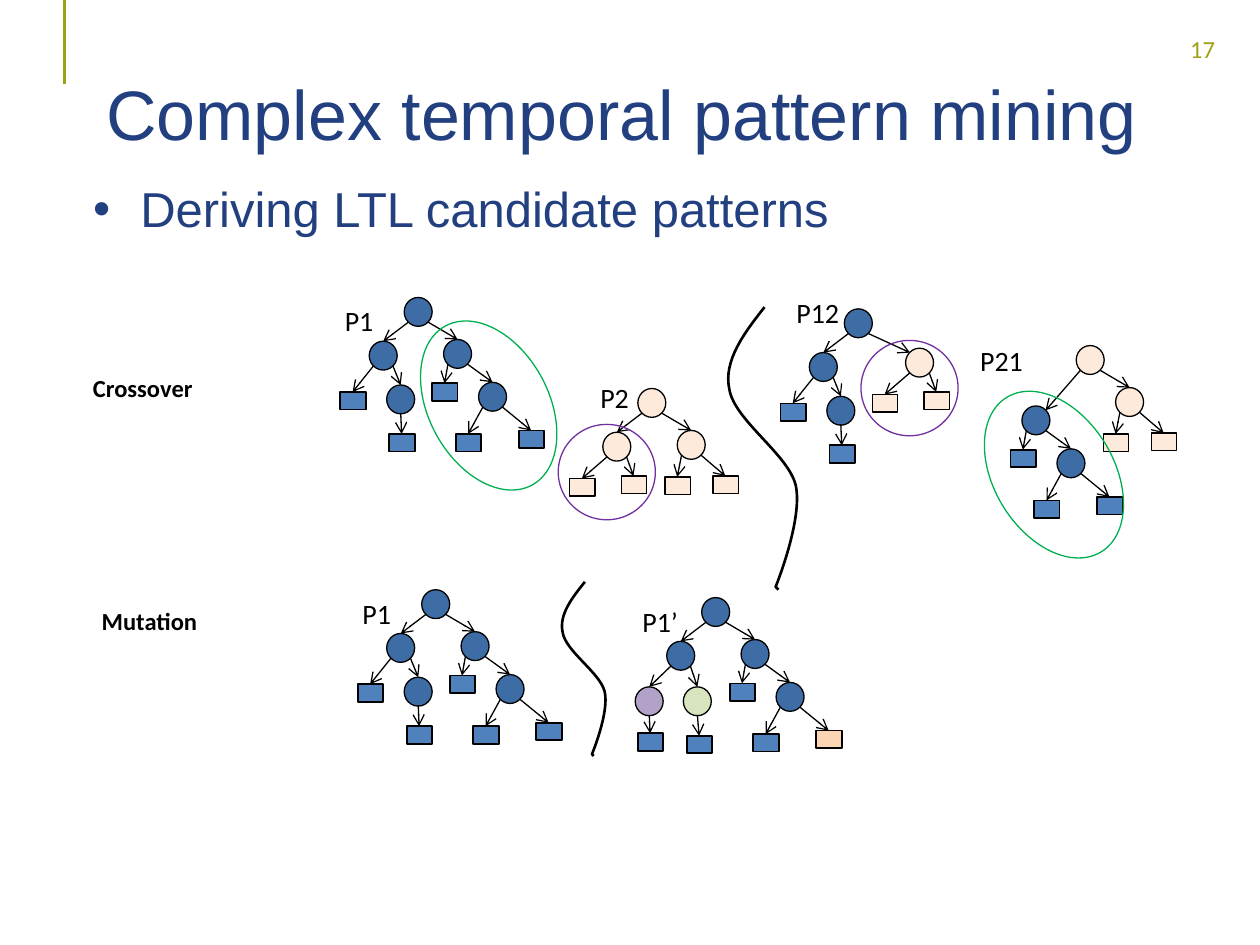
from dataclasses import dataclass

from lxml.etree import SubElement
from pptx import Presentation
from pptx.dml.color import RGBColor
from pptx.enum.shapes import MSO_CONNECTOR, MSO_SHAPE
from pptx.enum.text import MSO_ANCHOR, MSO_AUTO_SIZE, PP_ALIGN
from pptx.oxml.ns import qn
from pptx.util import Pt


@dataclass(frozen=True)
class Theme:
    heading_font: str = "Arial"
    label_font: str = "Calibri"
    title_size: float = 40
    body_size: float = 28
    label_size: float = 16
    small_size: float = 14
    navy: RGBColor = RGBColor(0x22, 0x40, 0x80)
    olive: RGBColor = RGBColor(0x9D, 0xA1, 0x12)
    black: RGBColor = RGBColor(0, 0, 0)
    blue: RGBColor = RGBColor(0x3E, 0x6D, 0xA6)
    leaf_blue: RGBColor = RGBColor(0x4F, 0x81, 0xBD)
    pale: RGBColor = RGBColor(0xFD, 0xEA, 0xDA)
    peach: RGBColor = RGBColor(0xFC, 0xD5, 0xB5)
    lilac: RGBColor = RGBColor(0xB3, 0xA2, 0xC7)
    lime: RGBColor = RGBColor(0xD7, 0xE4, 0xBD)
    green: RGBColor = RGBColor(0x00, 0xB0, 0x50)
    purple: RGBColor = RGBColor(0x70, 0x30, 0xA0)
    thin: float = 0.75
    medium: float = 1
    thick: float = 1.5


THEME = Theme()
NODE_SIZE = (16, 16.5)
LEAF_SIZE = (14.5, 10)


@dataclass(frozen=True)
class Node:
    """A tree node; x and y are offsets from its parent, in points."""
    x: float
    y: float
    fill: RGBColor
    children: tuple = ()
    grafted: bool = False


def blue_left(x, y):
    return Node(x, y, THEME.blue, (
        Node(-16.5, 29, THEME.leaf_blue),
        Node(10, 25, THEME.blue, (Node(1.5, 28, THEME.leaf_blue),))))


def blue_right(x, y, last_leaf=THEME.leaf_blue, grafted=False):
    return Node(x, y, THEME.blue, (
        Node(-6.5, 25, THEME.leaf_blue),
        Node(20, 24.5, THEME.blue, (
            Node(-13, 29.5, THEME.leaf_blue), Node(23, 27.5, last_leaf)))), grafted)


def pale_left(x, y, grafted=False):
    return Node(x, y, THEME.pale, (
        Node(-19, 26.5, THEME.pale), Node(10.5, 25, THEME.pale)), grafted)


def pale_right(x, y):
    return Node(x, y, THEME.pale, (
        Node(-7, 26.5, THEME.pale), Node(20.5, 26, THEME.pale)))


def mutated_left(x, y):
    return Node(x, y, THEME.blue, (
        Node(-18, 26, THEME.lilac, (Node(1.5, 26.5, THEME.leaf_blue),)),
        Node(9.5, 26, THEME.lime, (Node(2, 28, THEME.leaf_blue),))))


def format_run(paragraph, text, font, size, color, bold=None):
    run = paragraph.add_run()
    run.text = text
    run.font.name = font
    run.font.size = Pt(size)
    run.font.color.rgb = color
    run.font.bold = bold


def place(shape, left, top, width, height):
    shape.left, shape.top, shape.width, shape.height = map(Pt, (left, top, width, height))


def fill_placeholder(placeholder, box, text, size):
    place(placeholder, *box)
    placeholder.text_frame.auto_size = MSO_AUTO_SIZE.NONE
    paragraph = placeholder.text_frame.paragraphs[0]
    format_run(paragraph, text, THEME.heading_font, size, THEME.navy)
    return paragraph


def add_label(slide, text, box, size=THEME.label_size, color=THEME.black, bold=None):
    frame = slide.shapes.add_textbox(*map(Pt, box)).text_frame
    frame.word_wrap = False
    frame.auto_size = MSO_AUTO_SIZE.SHAPE_TO_FIT_TEXT
    format_run(frame.paragraphs[0], text, THEME.label_font, size, color, bold)


def add_outlined(slide, kind, box, line_color, width, fill=None):
    shape = slide.shapes.add_shape(kind, *map(Pt, box))
    shape.shadow.inherit = False
    if fill is None:
        shape.fill.background()
    else:
        shape.fill.solid()
        shape.fill.fore_color.rgb = fill
    shape.line.color.rgb = line_color
    shape.line.width = Pt(width)
    return shape


def add_line(slide, start, end, color=THEME.black, width=THEME.thin, arrow=False):
    line = slide.shapes.add_connector(MSO_CONNECTOR.STRAIGHT, *map(Pt, (*start, *end)))
    line.line.color.rgb = color
    line.line.width = Pt(width)
    properties = line._element.spPr
    if arrow:
        SubElement(properties.find(qn("a:ln")), qn("a:tailEnd"), type="arrow")
    SubElement(properties, qn("a:effectLst"))


def add_tree(slide, node, origin=(0, 0)):
    """Draw a node, then each subtree with the arrow that leads to it."""
    x, y = origin[0] + node.x, origin[1] + node.y
    if not node.children:
        width = THEME.thin if node.fill == THEME.pale else THEME.medium
        add_outlined(slide, MSO_SHAPE.RECTANGLE, (x, y, *LEAF_SIZE), THEME.black, width, node.fill)
        return
    add_outlined(slide, MSO_SHAPE.OVAL, (x, y, *NODE_SIZE), THEME.black, THEME.thin, node.fill)
    starts = [(2.5, 14), (13.5, 14)] if len(node.children) == 2 else [(8, 16)]
    for child, (start_x, start_y) in zip(node.children, starts):
        add_tree(slide, child, (x, y))
        if child.grafted:
            end_x, end_y = (13.5 if child.x < 0 else 2.5), 2.5
        else:
            end_x, end_y = (8 if child.children else 7), 0
        add_line(slide, (x + start_x, y + start_y),
                 (x + child.x + end_x, y + child.y + end_y), arrow=True)


def add_divider(slide, left, top, width, height):
    """Draw a wavy separator whose points are fractions of its box."""
    def point(x, y):
        return Pt(left + x * width), Pt(top + y * height)

    start = point(0.53, 0)
    curves = [
        [point(0.24, 0.09), point(-0.07, 0.19), point(0.02, 0.29)],
        [point(0.09, 0.4), point(0.87, 0.52), point(0.98, 0.63)],
        [point(1.09, 0.75), point(0.69, 0.99), point(0.69, 0.99)],
    ]
    builder = slide.shapes.build_freeform(*start)
    builder.add_line_segments([curve[-1] for curve in curves] + [point(0.73, 1)], close=False)
    shape = builder.convert_to_shape()
    segments = shape._element.findall(".//" + qn("a:lnTo"))
    for segment, curve in zip(segments, curves):
        segment.tag = qn("a:lnTo")
        bezier = segment.makeelement(qn("a:cubicBezTo"))
        for x, y in curve:
            SubElement(bezier, qn("a:pt"), x=str(x - shape.left), y=str(y - shape.top))
        segment.getparent().replace(segment, bezier)
    shape.shadow.inherit = False
    shape.fill.background()
    shape.line.color.rgb = THEME.black
    shape.line.width = Pt(THEME.thick)


def add_selection(slide, box, color, rotation=0):
    add_outlined(slide, MSO_SHAPE.OVAL, box, color, THEME.thin).rotation = rotation


def add_crossover(slide):
    add_label(slide, "Crossover", (46, 209.5, 72, 24.5), THEME.small_size, bold=True)
    add_tree(slide, Node(231, 170, THEME.blue, (blue_left(-20, 25), blue_right(22.5, 24))))
    add_tree(slide, Node(364.5, 222, THEME.pale, (pale_left(-20, 25), pale_right(22.5, 24))))
    add_tree(slide, Node(482.5, 176.5, THEME.blue, (
        blue_left(-20, 25), pale_left(35, 22.5, grafted=True))))
    add_tree(slide, Node(615, 197.5, THEME.pale, (
        blue_right(-31, 34.5, grafted=True), pale_right(22.5, 24))))
    add_selection(slide, (245, 180, 68.5, 103.5), THEME.green, 331.4)
    add_selection(slide, (568, 219.5, 68.5, 103.5), THEME.green, 328.6)
    add_selection(slide, (319, 242.5, 55.5, 54.5), THEME.purple)
    add_selection(slide, (492, 194.5, 55.5, 54.5), THEME.purple)
    add_divider(slide, 416, 175.5, 39.5, 161.5)
    for text, left, top, width in [("P1", 190, 170, 31), ("P2", 336, 214, 31),
                                   ("P12", 448, 165.5, 39.5), ("P21", 553, 193, 39.5)]:
        add_label(slide, text, (left, top, width, 26.5))


def add_mutation(slide):
    add_label(slide, "Mutation", (51, 342.5, 70, 24.5), THEME.small_size, bold=True)
    add_tree(slide, Node(241, 337, THEME.blue, (blue_left(-20, 25), blue_right(22.5, 24))))
    add_tree(slide, Node(401, 341.5, THEME.blue, (
        mutated_left(-20, 25), blue_right(22.5, 24, last_leaf=THEME.peach))))
    add_divider(slide, 321, 332.5, 25, 99.5)
    add_label(slide, "P1", (200, 337.5, 31, 26.5))
    add_label(slide, "P1’", (360, 342, 35, 26.5))


def main():
    presentation = Presentation()
    presentation.slide_width, presentation.slide_height = Pt(720), Pt(540)
    slide = presentation.slides.add_slide(presentation.slide_layouts[1])
    title, body = slide.placeholders
    heading = fill_placeholder(title, (46, 22.5, 610.5, 90),
                               "Complex temporal pattern mining", THEME.title_size)
    heading.alignment = PP_ALIGN.RIGHT
    heading.line_spacing = 0.9
    title.text_frame.vertical_anchor = MSO_ANCHOR.MIDDLE
    fill_placeholder(body, (46, 98.5, 546.5, 327),
                     "Deriving LTL candidate patterns", THEME.body_size)
    add_line(slide, (37, 0), (37, 48), THEME.olive, THEME.thick)
    add_label(slide, "17", (673, 16, 31, 24), THEME.small_size, THEME.olive)
    add_crossover(slide)
    add_mutation(slide)
    presentation.save("out.pptx")


if __name__ == "__main__":
    main()
